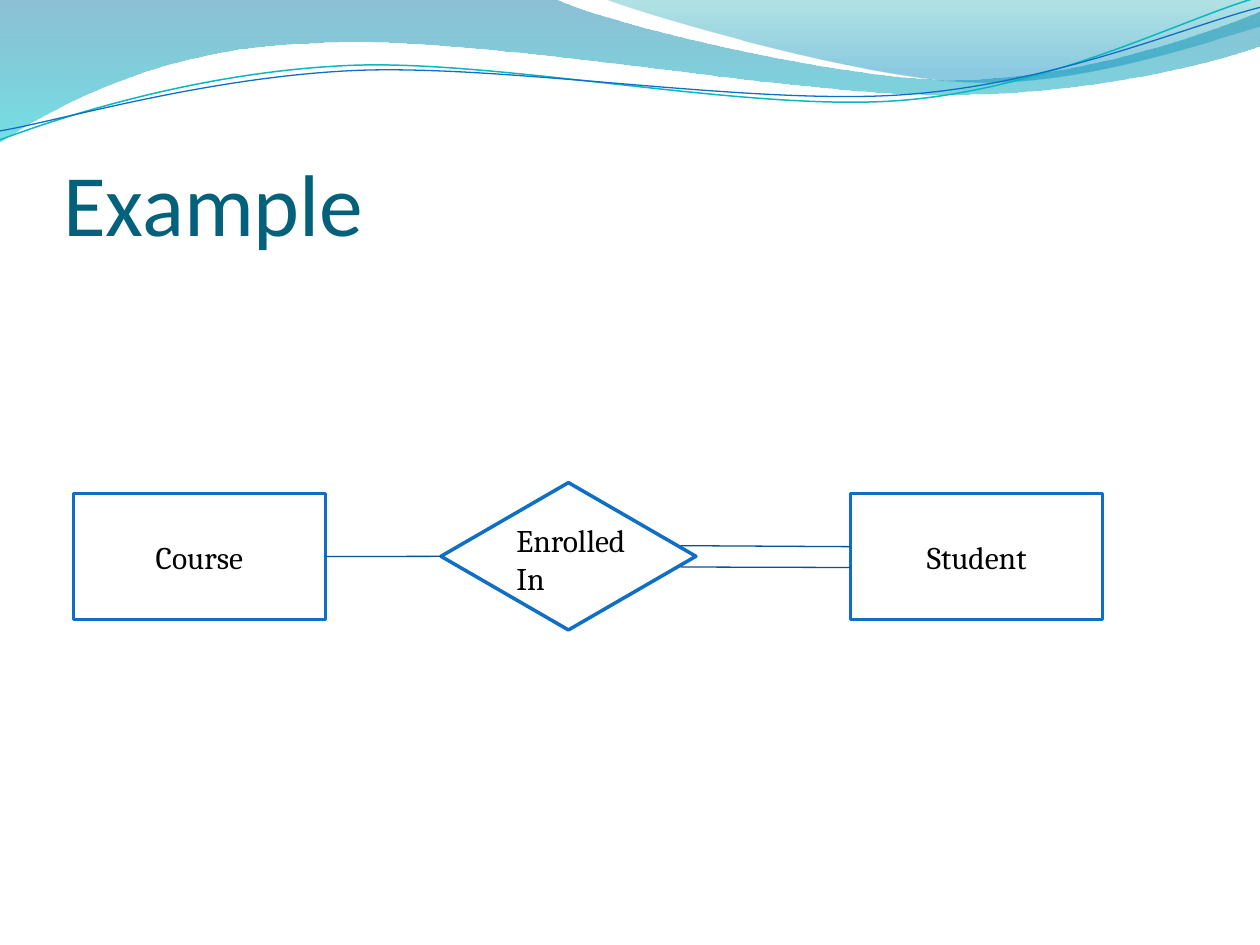
"""Build a slide with an entity-relationship example: Course, Enrolled In, Student."""
import lxml.etree
import pptx
import pptx.dml.color
import pptx.enum.shapes
import pptx.enum.text
import pptx.oxml.ns
import pptx.util

Cm = pptx.util.Cm
Pt = pptx.util.Pt
RGBColor = pptx.dml.color.RGBColor
SHAPE = pptx.enum.shapes.MSO_SHAPE
ALIGN = pptx.enum.text.PP_ALIGN
ANCHOR = pptx.enum.text.MSO_ANCHOR
qn = pptx.oxml.ns.qn

WHITE = RGBColor(0xFF, 0xFF, 0xFF)
BLACK = RGBColor(0x00, 0x00, 0x00)
TITLE_TEAL = RGBColor(0x04, 0x61, 0x7B)
OUTLINE_BLUE = RGBColor(0x0F, 0x6F, 0xC6)
LINK_BLUE = RGBColor(0x09, 0x52, 0x95)
WAVE_TEAL = RGBColor(0x0A, 0xB8, 0xBF)
BAND_BLUE = RGBColor(0x00, 0x74, 0xA1)
BAND_CYAN = RGBColor(0x00, 0xC6, 0xCF)
CREST_TEAL = RGBColor(0x00, 0xA1, 0xA9)
CREST_BLUE = RGBColor(0x00, 0x8B, 0xBF)


def write_text(shape, text, font="Cambria", size=18, color=BLACK,
               align=ALIGN.LEFT, anchor=ANCHOR.TOP):
    frame = shape.text_frame
    frame.word_wrap = True
    frame.vertical_anchor = anchor
    para = frame.paragraphs[0]
    para.alignment = align
    span = para.add_run()
    span.text = text
    span.font.name = font
    span.font.size = Pt(size)
    span.font.color.rgb = color


def draw_wave(shapes, start, segments, close):
    builder = shapes.build_freeform(Cm(start[0]), Cm(start[1]), scale=1.0)
    for segment in segments:
        corners = [(Cm(x), Cm(y)) for x, y in zip(segment[::2], segment[1::2])]
        builder.add_line_segments(corners, close=False)
    wave = builder.convert_to_shape()
    wave.shadow.inherit = False
    outline = next(wave.element.iter(qn("a:moveTo"))).getparent()
    steps = iter(outline.findall(qn("a:lnTo")))
    for segment in segments:
        first = next(steps)
        if len(segment) == 6:
            curve = lxml.etree.Element(qn("a:cubicBezTo"))
            outline.replace(first, curve)
            curve.append(first[0])
            for extra in (next(steps), next(steps)):
                curve.append(extra[0])
                outline.remove(extra)
    if close:
        lxml.etree.SubElement(outline, qn("a:close"))
    return wave


deck = pptx.Presentation()
deck.slide_width = Cm(25.4)
deck.slide_height = Cm(19.05)
slide = deck.slides.add_slide(deck.slide_layouts[5])
shapes = slide.shapes

bands = [
    ((0, 0),
     [(11.18, -0.03),
      (12.09, 0.43, 16.87, 1.6, 19.25, 1.6),
      (21.72, 1.6, 24.33, 0.66, 25.4, 0.23),
      (25.43, 0.91),
      (24.97, 1.12, 22.1, 1.93, 18.95, 1.91),
      (15.8, 1.91, 9.7, 0.71, 6.53, 0.86),
      (3.28, 0.91, 1.17, 2.11, -0.03, 2.87),
      (0, 0)],
     [(0, BAND_BLUE, 45), (1, BAND_CYAN, 55)]),
    ((12.17, -0.03),
     [(12.93, 0.28, 17.32, 1.57, 19.53, 1.65),
      (21.74, 1.75, 24.41, 0.81, 25.4, 0.53),
      (25.4, 0),
      (12.17, -0.03)],
     [(0, CREST_TEAL, 30), (0.8, CREST_BLUE, 45)]),
]
for start, segments, stops in bands:
    band = draw_wave(shapes, start, segments, close=True)
    band.line.fill.background()
    band.fill.gradient()
    band.fill.gradient_angle = 270
    for stop, (position, color, opacity) in zip(band.fill.gradient_stops, stops):
        stop.position = position
        stop.color.rgb = color
    for node, (position, color, opacity) in zip(band.element.iter(qn("a:srgbClr")), stops):
        lxml.etree.SubElement(node, qn("a:alpha")).set("val", str(opacity * 1000))

waves = [
    ((0, 2.82),
     [(1.22, 2.36, 4.01, 1.45, 7.04, 1.32),
      (10.03, 1.19, 15.06, 2.26, 18.11, 2.03),
      (21.16, 1.8, 23.83, 0.38, 25.35, -0.05)],
     WAVE_TEAL, 0.85),
    ((0, 2.64),
     [(1.19, 2.44, 4.17, 1.55, 7.19, 1.42),
      (10.24, 1.3, 15.16, 2.13, 18.21, 1.91),
      (21.23, 1.7, 23.9, 0.53, 25.4, 0.15)],
     OUTLINE_BLUE, 0.75),
]
for start, segments, color, width in waves:
    wave = draw_wave(shapes, start, segments, close=False)
    wave.fill.background()
    wave.line.color.rgb = color
    wave.line.width = Pt(width)

title = shapes.title
title.left, title.top, title.width, title.height = Cm(1.27), Cm(1.95), Cm(22.86), Cm(3.17)
frame = title.text_frame
frame.margin_left = frame.margin_right = frame.margin_bottom = 0
frame.margin_top = Cm(0.13)
write_text(title, "Example", font="Calibri", size=50, color=TITLE_TEAL, anchor=ANCHOR.BOTTOM)

nodes = []
for kind, left, top, width, height, label in [
    (SHAPE.RECTANGLE, 1.48, 9.95, 5.08, 2.54, "Course"),
    (SHAPE.FLOWCHART_DECISION, 8.89, 9.73, 5.14, 2.97, None),
    (SHAPE.RECTANGLE, 17.15, 9.95, 5.08, 2.54, "Student"),
]:
    node = shapes.add_shape(kind, Cm(left), Cm(top), Cm(width), Cm(height))
    node.shadow.inherit = False
    node.fill.solid()
    node.fill.fore_color.rgb = WHITE
    node.line.color.rgb = OUTLINE_BLUE
    node.line.width = Pt(2)
    if label:
        write_text(node, label, align=ALIGN.CENTER, anchor=ANCHOR.MIDDLE)
    nodes.append(node)
course, enrolled, student = nodes

links = []
for x1, y1, x2, y2 in [(6.56, 11.22, 8.89, 11.22),
                       (13.72, 11, 17.15, 11.02),
                       (13.72, 11.43, 17.15, 11.44)]:
    link = shapes.add_connector(pptx.enum.shapes.MSO_CONNECTOR.STRAIGHT,
                                Cm(x1), Cm(y1), Cm(x2), Cm(y2))
    link.line.color.rgb = LINK_BLUE
    link.line.width = Pt(0.75)
    lxml.etree.SubElement(link.element.spPr, qn("a:effectLst"))
    links.append(link)
links[0].begin_connect(course, 3)
links[0].end_connect(enrolled, 1)

box = shapes.add_textbox(Cm(10.16), Cm(10.38), Cm(3.18), Cm(1.8))
write_text(box, "Enrolled In")
box.text_frame.auto_size = pptx.enum.text.MSO_AUTO_SIZE.SHAPE_TO_FIT_TEXT

deck.save("out.pptx")
